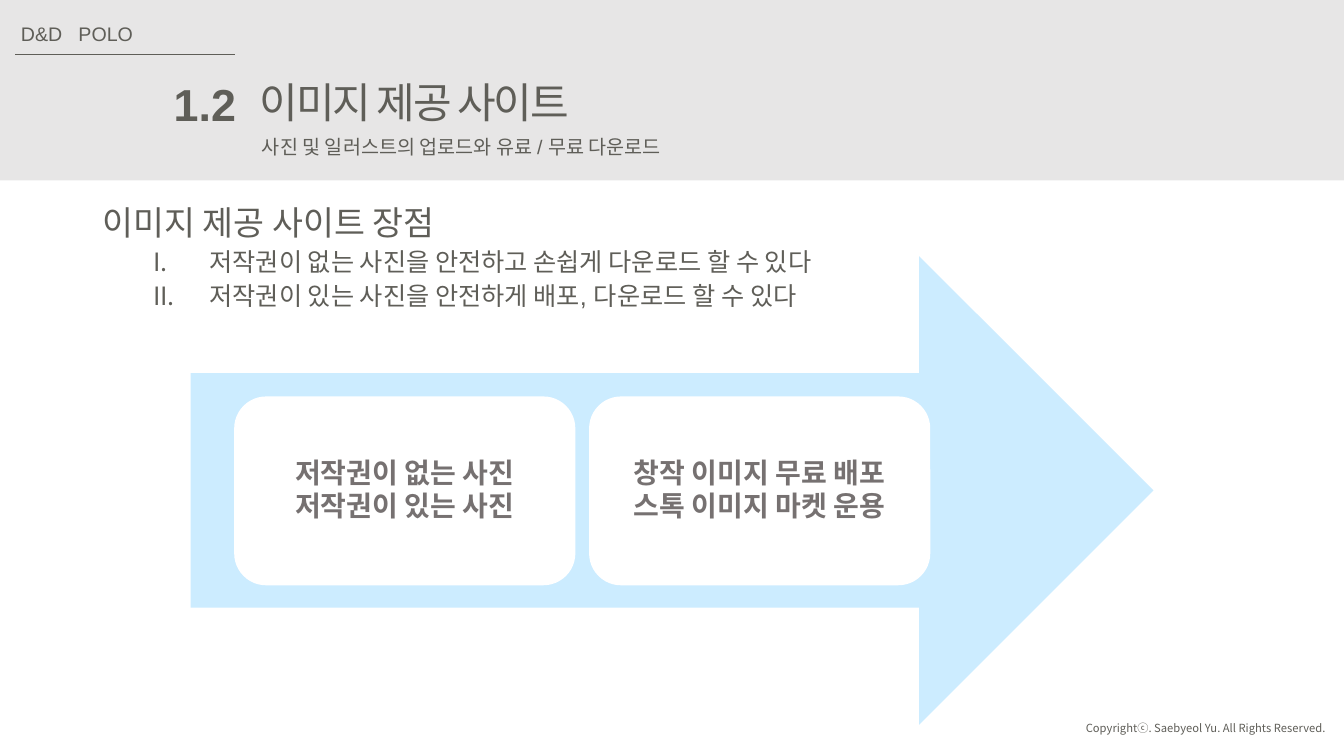
"""Build the slide about the advantages of image-providing sites."""
from dataclasses import dataclass

from lxml.etree import SubElement
from pptx import Presentation
from pptx.dml.color import RGBColor
from pptx.enum.shapes import MSO_CONNECTOR, MSO_SHAPE
from pptx.enum.text import MSO_ANCHOR, MSO_AUTO_SIZE, PP_ALIGN
from pptx.oxml.ns import qn
from pptx.util import Inches, Pt

COLORS = {
    "text": "5F5E58",
    "band": "E7E6E6",
    "arrow": "CCECFF",
    "card": "FFFFFF",
    "card_text": "767171",
}
LATIN, KOREAN = "Arial", "Noto Sans CJK KR"


@dataclass
class Label:
    text: str
    left: float
    top: float
    width: float
    height: float
    size: float
    font: str = LATIN
    bold: bool = False
    align: PP_ALIGN = PP_ALIGN.LEFT
    spacing: int = 0
    tab: float = 0


@dataclass
class Card:
    left: float
    lines: tuple[str, ...]


LABELS = [
    Label("Copyrightⓒ. Saebyeol Yu. All Rights Reserved.", 10.62, 7.11, 2.63, 0.24,
          8, font=KOREAN, align=PP_ALIGN.RIGHT),
    Label("D&D\tPOLO", 0.11, 0.17, 1.33, 0.34, 14, tab=0.57),
    Label("1.2", 1.62, 0.71, 0.82, 0.64, 32, bold=True, align=PP_ALIGN.RIGHT),
    Label("이미지 제공 사이트", 2.48, 0.71, 3.64, 0.61, 30, font=KOREAN, spacing=-150),
    Label("사진 및 일러스트의 업로드와 유료 / 무료 다운로드", 2.5, 1.29, 4.62, 0.34, 14),
]
ADVANTAGES = [
    "저작권이 없는 사진을 안전하고 손쉽게 다운로드 할 수 있다",
    "저작권이 있는 사진을 안전하게 배포, 다운로드 할 수 있다",
]
CARDS = [
    Card(2.33, ("저작권이 없는 사진", "저작권이 있는 사진")),
    Card(5.85, ("창작 이미지 무료 배포", "스톡 이미지 마켓 운용")),
]


def rgb(name: str) -> RGBColor:
    return RGBColor.from_string(COLORS[name])


def add_text(p, text: str, *, size: float, font: str = LATIN, color: str = "text",
             bold: bool = False, align: PP_ALIGN = PP_ALIGN.LEFT, spacing: int = 0) -> None:
    p.alignment = align
    r = p.add_run()
    r.text = text
    r.font.size = Pt(size)
    r.font.name = font
    r.font.bold = bold
    r.font.color.rgb = rgb(color)
    rPr = r.font._element
    if spacing:
        rPr.set("spc", str(spacing))
    SubElement(rPr, qn("a:ea")).set("typeface", KOREAN)


def add_label(slide, label: Label) -> None:
    sp = slide.shapes.add_textbox(*map(Inches, (label.left, label.top, label.width, label.height)))
    tf = sp.text_frame
    tf.word_wrap = False
    tf.auto_size = MSO_AUTO_SIZE.SHAPE_TO_FIT_TEXT
    p = tf.paragraphs[0]
    if label.tab:
        tabs = SubElement(p._p.get_or_add_pPr(), qn("a:tabLst"))
        stop = SubElement(tabs, qn("a:tab"))
        stop.set("pos", str(Inches(label.tab)))
        stop.set("algn", "l")
    add_text(p, label.text, size=label.size, font=label.font, bold=label.bold,
             align=label.align, spacing=label.spacing)


def add_box(slide, kind: MSO_SHAPE, left: float, top: float, width: float, height: float,
            fill: str, outlined: bool = False):
    sp = slide.shapes.add_shape(kind, *map(Inches, (left, top, width, height)))
    sp.shadow.inherit = False
    sp.fill.solid()
    sp.fill.fore_color.rgb = rgb(fill)
    if outlined:
        sp.line.color.rgb = rgb(fill)
        sp.line.width = Pt(1)
    else:
        sp.line.fill.background()
    return sp


def add_rule(slide) -> None:
    line = slide.shapes.add_connector(
        MSO_CONNECTOR.STRAIGHT, *map(Inches, (0.15, 0.54, 2.33, 0.54)))
    line.line.color.rgb = rgb("text")
    line.line.width = Pt(0.5)
    SubElement(line._element.spPr, qn("a:effectLst"))


def add_advantages(slide) -> None:
    tf = slide.shapes.add_textbox(*map(Inches, (0.92, 2, 11.5, 4.76))).text_frame
    tf.word_wrap = True
    p = tf.paragraphs[0]
    p.line_spacing = 0.9
    add_text(p, "이미지 제공 사이트 장점", size=24)
    for advantage in ADVANTAGES:
        p = tf.add_paragraph()
        p.level = 1
        p.line_spacing = 0.9
        p.space_before = Pt(5)
        pPr = p._p.get_or_add_pPr()
        pPr.set("marL", str(Inches(1.06)))
        pPr.set("indent", str(Inches(-0.56)))
        SubElement(pPr, qn("a:buFont")).set("typeface", LATIN)
        SubElement(pPr, qn("a:buAutoNum")).set("type", "romanUcPeriod")
        add_text(p, advantage, size=18)


def add_card(slide, card: Card) -> None:
    sp = add_box(slide, MSO_SHAPE.ROUNDED_RECTANGLE, card.left, 3.94, 3.37, 1.86, "card", True)
    tf = sp.text_frame
    tf.word_wrap = True
    tf.vertical_anchor = MSO_ANCHOR.MIDDLE
    tf.margin_left = tf.margin_right = tf.margin_top = tf.margin_bottom = Inches(0.08)
    for i, text in enumerate(card.lines):
        p = tf.add_paragraph() if i else tf.paragraphs[0]
        p.line_spacing = 0.9
        p.space_after = Pt(2.5)
        add_text(p, text, size=20, font=KOREAN, color="card_text", bold=True,
                 align=PP_ALIGN.CENTER)


def main() -> None:
    prs = Presentation()
    prs.slide_width, prs.slide_height = Inches(13.33), Inches(7.5)
    slide = prs.slides.add_slide(prs.slide_layouts[6])
    add_box(slide, MSO_SHAPE.RECTANGLE, 0, 0, 13.33, 1.79, "band")
    add_rule(slide)
    for label in LABELS:
        add_label(slide, label)
    add_advantages(slide)
    add_box(slide, MSO_SHAPE.RIGHT_ARROW, 1.89, 2.54, 9.55, 4.65, "arrow")
    for card in CARDS:
        add_card(slide, card)
    prs.save("out.pptx")


if __name__ == "__main__":
    main()
